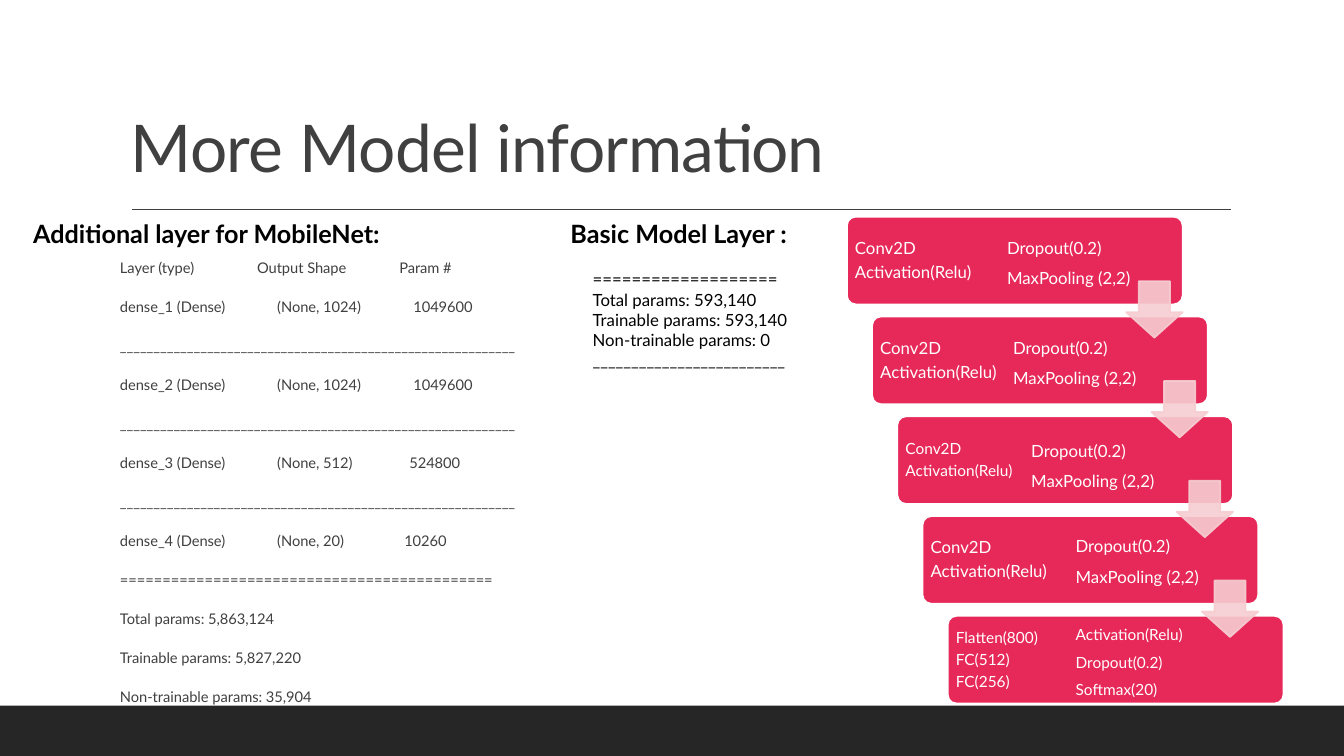
import lxml.etree
import pptx
import pptx.dml.color
import pptx.enum.shapes
import pptx.enum.text
import pptx.oxml.ns
import pptx.util

Inches = pptx.util.Inches
Pt = pptx.util.Pt
RGBColor = pptx.dml.color.RGBColor
Shape = pptx.enum.shapes.MSO_SHAPE
Anchor = pptx.enum.text.MSO_ANCHOR
qn = pptx.oxml.ns.qn

INK = RGBColor(0x40, 0x40, 0x40)
BLACK = RGBColor(0, 0, 0)
WHITE = RGBColor(0xFF, 0xFF, 0xFF)
DARK = RGBColor(0x26, 0x26, 0x26)
RED = RGBColor(0xE7, 0x29, 0x59)
PINK = RGBColor(0xF6, 0xCD, 0xD1)

RULE = "_" * 59
LAYERS = [
    ("Layer (type)\tOutput Shape\tParam #", (1.36, 2.77)),
    ("dense_1 (Dense)\t(None, 1024)\t1049600", (1.56, 2.91)),
    (RULE, ()),
    ("dense_2 (Dense)\t(None, 1024)\t1049600", (1.56, 2.91)),
    (RULE, ()),
    ("dense_3 (Dense)\t(None, 512)\t524800", (1.56, 2.87)),
    (RULE, ()),
    ("dense_4 (Dense)\t(None, 20)\t10260", (1.56, 2.82)),
    ("=" * 44, ()),
    ("Total params: 5,863,124", ()),
    ("Trainable params: 5,827,220", ()),
    ("Non-trainable params: 35,904", ()),
]
TOTALS = [
    "=" * 19,
    "Total params: 593,140",
    "Trainable params: 593,140",
    "Non-trainable params: 0",
    "_" * 25,
]
CONV = ["Conv2D", "Activation(Relu)"]
POOL = ["Dropout(0.2)", "MaxPooling (2,2)"]
DENSE = ["Flatten(800)", "FC(512)", "FC(256)"]
LAST = ["Activation(Relu)", "Dropout(0.2)", "Softmax(20)"]
STEPS = [
    (CONV, 12, POOL, 12, (9.89, 2.21, 2.34, 0.68)),
    (CONV, 12, POOL, 12, (9.95, 3.2, 2.34, 0.68)),
    (CONV, 11, POOL, 12, (10.13, 4.22, 2.34, 0.68)),
    (CONV, 12, POOL, 12, (10.57, 5.17, 1.48, 0.68)),
    (DENSE, 11, LAST, 11, (10.57, 6.06, 1.48, 0.91)),
]


def apply(target, values):
    """Set each named value on the target."""
    for name, value in values.items():
        setattr(target, name, value)


def add_text(slide, box, lines, size, color, bold=False, para=None, frame=None):
    """Add a text box with one paragraph per line and return its paragraphs."""
    shape = slide.shapes.add_textbox(*map(Inches, box))
    body = shape.text_frame
    apply(body, {"word_wrap": True, **(frame or {})})
    for index, line in enumerate(lines):
        item = body.paragraphs[0] if index == 0 else body.add_paragraph()
        apply(item, para or {})
        if index == 0:
            item.space_before = Pt(0)
        run = item.add_run()
        run.text = line
        apply(run.font, {"name": "Lato", "size": Pt(size), "bold": bold})
        run.font.color.rgb = color
    return body.paragraphs


def add_block(slide, kind, box, fill, line=None, adjust=()):
    """Add a filled preset shape."""
    shape = slide.shapes.add_shape(kind, *map(Inches, box))
    shape.shadow.inherit = False
    shape.fill.solid()
    shape.fill.fore_color.rgb = fill
    if line is None:
        shape.line.fill.background()
    else:
        shape.line.color.rgb = line
        shape.line.width = Pt(1.25)
    for index, value in enumerate(adjust):
        shape.adjustments[index] = value
    return shape


def add_arrow(slide, left, top):
    """Add a slightly clear arrow that points down."""
    box = (left, top, 0.56, 0.56)
    shape = add_block(slide, Shape.DOWN_ARROW, box, PINK, PINK, (0.55, 0.45))
    for color in shape._element.spPr.iter(qn("a:srgbClr")):
        lxml.etree.SubElement(color, qn("a:alpha"), val="90000")


def add_rule(slide, left, right, top):
    """Add the level line under the title."""
    ends = map(Inches, (left, top, right, top))
    line = slide.shapes.add_connector(pptx.enum.shapes.MSO_CONNECTOR.STRAIGHT, *ends)
    line.line.color.rgb = INK
    line.line.width = Pt(1)
    lxml.etree.SubElement(line._element.spPr, qn("a:effectLst"))


def add_title(slide):
    """Add the title with tight letters."""
    items = add_text(slide, (1.2, 0.31, 11, 1.59), ["More Model information"], 47, INK,
                     para={"line_spacing": 0.9}, frame={"vertical_anchor": Anchor.BOTTOM})
    items[0].runs[0].font._element.set("spc", "-50")


def add_layers(slide):
    """Add the layer list with its columns on tab stops."""
    para = {"line_spacing": 1.1, "space_before": Pt(12), "space_after": Pt(2)}
    frame = {"margin_left": 0, "margin_right": 0}
    items = add_text(slide, (1.19, 2.5, 4.8, 4.01), [text for text, _ in LAYERS],
                     10.5, INK, para=para, frame=frame)
    for item, (_, stops) in zip(items, LAYERS):
        if stops:
            tabs = lxml.etree.SubElement(item._p.get_or_add_pPr(), qn("a:tabLst"))
            for stop in stops:
                lxml.etree.SubElement(tabs, qn("a:tab"), pos=str(Inches(stop)), algn="l")


def add_steps(slide):
    """Add the stair of model steps, the arrows and the notes."""
    sides = ("margin_left", "margin_right", "margin_top", "margin_bottom")
    frame = {"vertical_anchor": Anchor.MIDDLE, **dict.fromkeys(sides, Inches(0.05))}
    for index, (lines, size, *_) in enumerate(STEPS):
        left, top = 8.4 + 0.25 * index, 2.15 + 0.99 * index
        add_block(slide, Shape.ROUNDED_RECTANGLE, (left, top, 3.33, 0.87), RED, WHITE, (0.1,))
        para = {"line_spacing": 0.9, "space_after": Pt(0.35 * size)}
        add_text(slide, (left + 0.03, top + 0.03, 2.46, 0.82), lines, size, WHITE,
                 para=para, frame=frame)
    for index in range(len(STEPS) - 1):
        add_arrow(slide, 11.17 + 0.25 * index, 2.79 + 0.99 * index)
    for *_, notes, size, box in STEPS:
        add_text(slide, box, notes, size, WHITE, para={"line_spacing": 1.5})


def main():
    """Build the slide and save it."""
    deck = pptx.Presentation()
    apply(deck, {"slide_width": Inches(13.33), "slide_height": Inches(7.5)})
    slide = deck.slides.add_slide(deck.slide_layouts[6])
    add_block(slide, Shape.RECTANGLE, (0, 7, 13.33, 0.5), DARK)
    add_rule(slide, 1.31, 12.21, 2.08)
    add_title(slide)
    add_layers(slide)
    add_text(slide, (5.78, 2.62, 2.36, 1.11), TOTALS, 12, BLACK)
    add_text(slide, (0.23, 2.12, 4.32, 0.4), ["Additional layer for MobileNet:"], 18, BLACK, True)
    add_text(slide, (5.56, 2.12, 2.57, 0.4), ["Basic Model Layer :"], 18, BLACK, True)
    add_steps(slide)
    deck.save("out.pptx")


if __name__ == "__main__":
    main()
